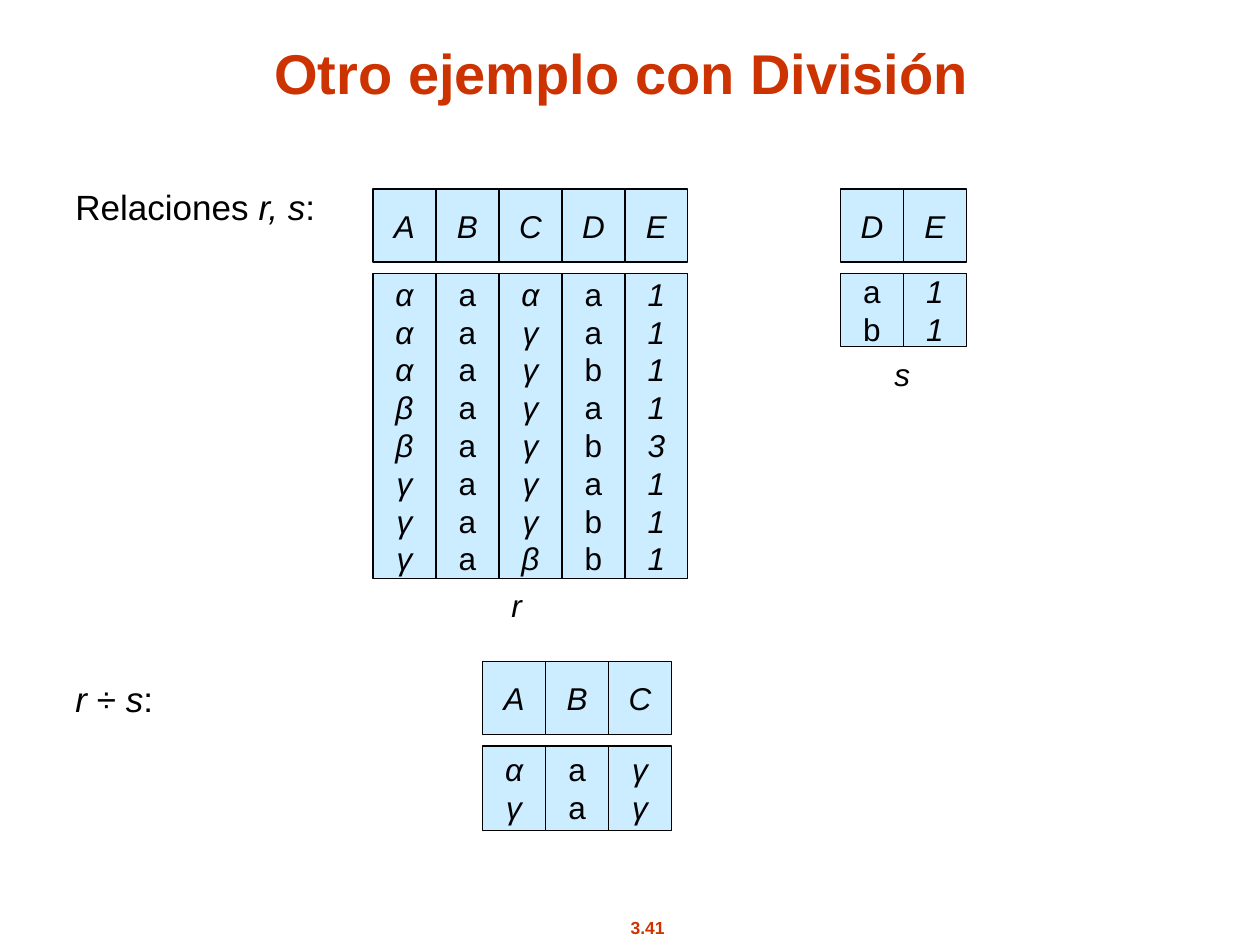
"""Build the relational division example slide."""
from dataclasses import dataclass

import pptx
import pptx.dml.color
import pptx.enum.shapes
import pptx.enum.text
import pptx.util

Inches = pptx.util.Inches
Pt = pptx.util.Pt
RGB = pptx.dml.color.RGBColor
ALIGN = pptx.enum.text.PP_ALIGN
ANCHOR = pptx.enum.text.MSO_ANCHOR


@dataclass(frozen=True)
class Theme:
    """Colours and type sizes of the slide."""
    font: str = "Arial"
    accent: RGB = RGB(0xCC, 0x33, 0x00)
    ink: RGB = RGB(0, 0, 0)
    cell: RGB = RGB(0xCC, 0xEC, 0xFF)
    title: Pt = Pt(32)
    text: Pt = Pt(20)
    value: Pt = Pt(18)
    value_line: Pt = Pt(21.6)
    number: Pt = Pt(10)
    border: Pt = Pt(0.75)


THEME = Theme()
COL_W, HEAD_H, BODY_OFFSET = 0.5, 0.58, 0.67


def style(p, size, color=THEME.ink, bold=False, italic=None, align=ALIGN.CENTER):
    """Set the alignment and font of a paragraph."""
    p.alignment = align
    f = p.font
    f.name, f.size, f.bold, f.italic = THEME.font, size, bold, italic
    f.color.rgb = color


def add_text(s, x, y, w, h, text, size, anchor=ANCHOR.TOP, wrap=False, **font):
    """Add a text box with a single paragraph."""
    tf = s.shapes.add_textbox(Inches(x), Inches(y), Inches(w), Inches(h)).text_frame
    tf.word_wrap = wrap
    tf.vertical_anchor = anchor
    p = tf.paragraphs[0]
    p.text = text
    style(p, size, **font)


def add_label(s, x, y, w, h, runs):
    """Add a left-aligned label from (text, italic) runs."""
    tf = s.shapes.add_textbox(Inches(x), Inches(y), Inches(w), Inches(h)).text_frame
    tf.word_wrap = True
    p = tf.paragraphs[0]
    style(p, THEME.text, align=ALIGN.LEFT)
    for text, italic in runs:
        r = p.add_run()
        r.text = text
        r.font.italic = italic


def add_cell(s, x, y, h, values):
    """Add a bordered box listing one value per line."""
    sp = s.shapes.add_shape(pptx.enum.shapes.MSO_SHAPE.RECTANGLE,
                            Inches(x), Inches(y), Inches(COL_W), Inches(h))
    sp.shadow.inherit = False
    sp.fill.solid()
    sp.fill.fore_color.rgb = THEME.cell
    sp.line.color.rgb = THEME.ink
    sp.line.width = THEME.border
    tf = sp.text_frame
    tf.word_wrap = False
    tf.vertical_anchor = ANCHOR.MIDDLE
    tf.text = "\n".join(values)
    for p in tf.paragraphs:
        style(p, THEME.value, italic=p.text not in "ab")
        p.line_spacing = THEME.value_line


def add_relation(s, x, y, body_h, columns):
    """Add a relation as a header box above a value box per column."""
    for i, (name, values) in enumerate(columns.items()):
        left = x + i * COL_W
        add_cell(s, left, y, HEAD_H, name)
        add_cell(s, left, y + BODY_OFFSET, body_h, values)


def main():
    """Build and save the slide."""
    prs = pptx.Presentation()
    prs.slide_width, prs.slide_height = Inches(10), Inches(7.5)
    s = prs.slides.add_slide(prs.slide_layouts[6])

    add_text(s, 4.65, 7.23, 0.98, 0.27, "3.41", THEME.number,
             color=THEME.accent, bold=True)
    add_text(s, 0.52, 0.22, 8.83, 0.67, "Otro ejemplo con División", THEME.title,
             anchor=ANCHOR.BOTTOM, wrap=True, color=THEME.accent, bold=True)

    add_label(s, 0.5, 1.42, 2.33, 0.36,
              [("Relaciones ", False), ("r, s", True), (":", False)])
    add_label(s, 0.5, 5.33, 1.42, 0.36,
              [("r ", True), ("÷ ", False), ("s", True), (":", False)])

    add_relation(s, 2.96, 1.5, 2.42, {
        "A": "αααββγγγ", "B": "aaaaaaaa", "C": "αγγγγγγβ",
        "D": "aabababb", "E": "11113111"})
    add_relation(s, 6.67, 1.5, 0.58, {"D": "ab", "E": "11"})
    add_relation(s, 3.83, 5.25, 0.67, {"A": "αγ", "B": "aa", "C": "γγ"})

    for name, x, y, w in (("r", 3.96, 4.6, 0.28), ("s", 7, 2.77, 0.32)):
        add_text(s, x, y, w, 0.4, name, THEME.value, anchor=ANCHOR.MIDDLE, italic=True)

    prs.save("out.pptx")


if __name__ == "__main__":
    main()
